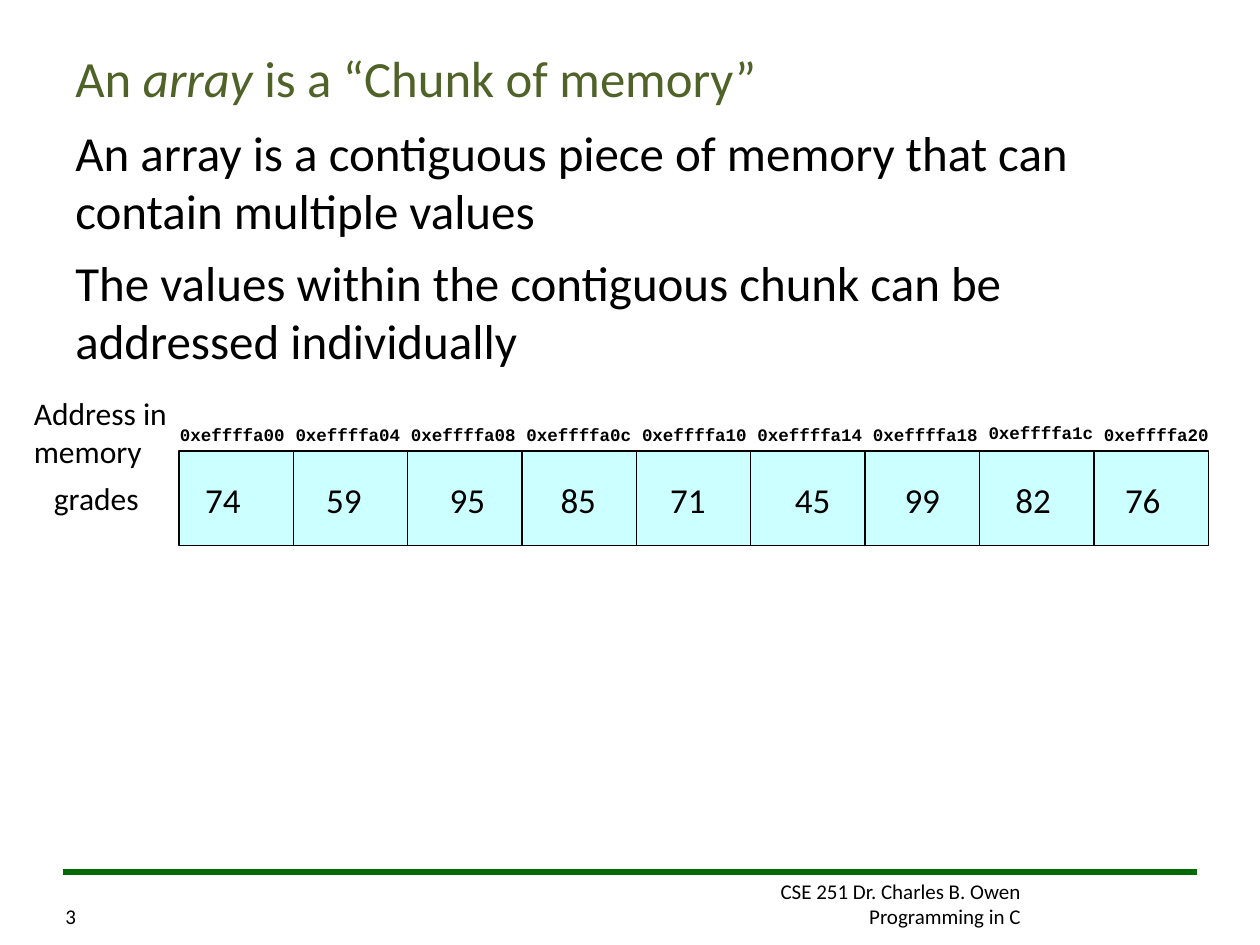
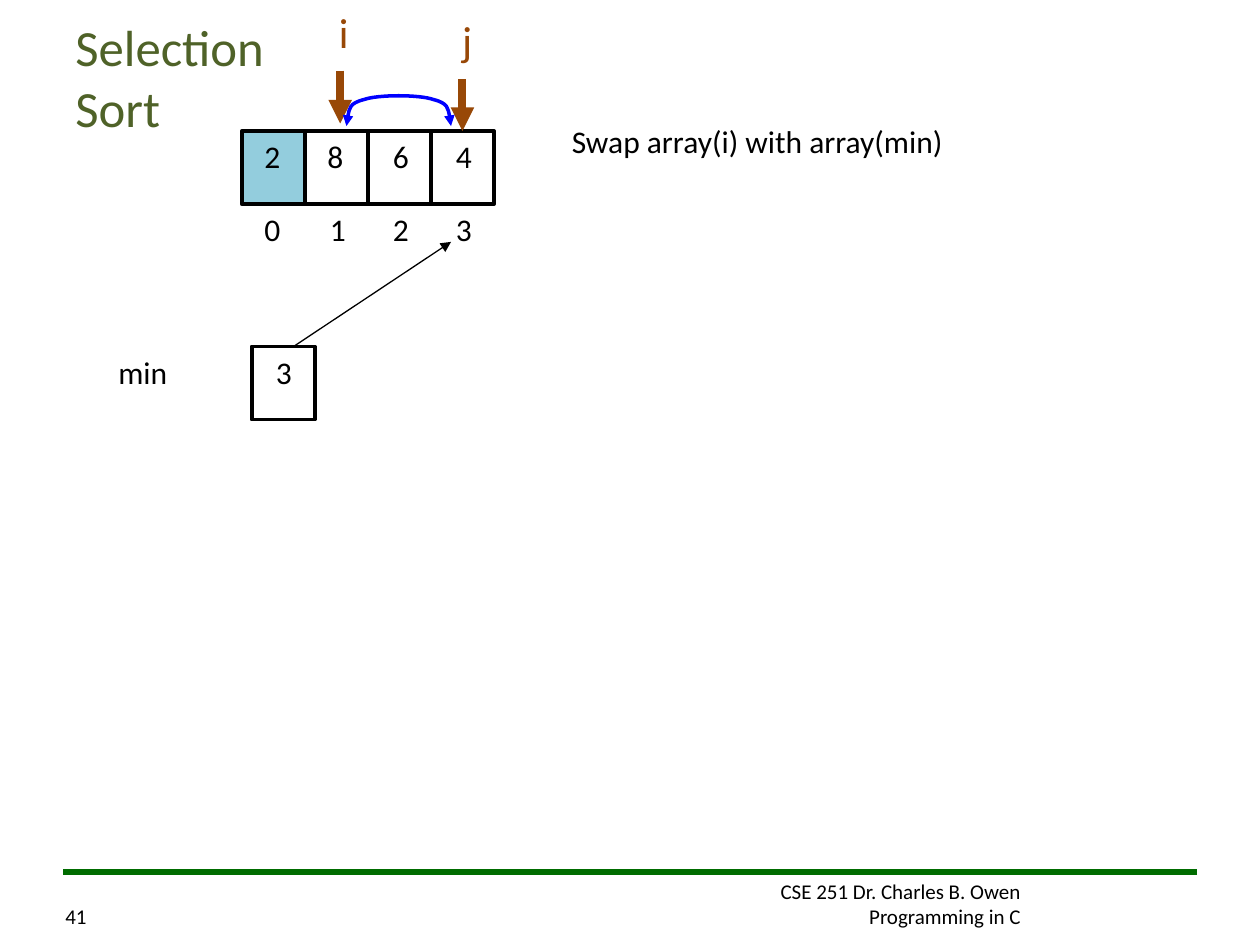
import pptx
import pptx.dml.color
import pptx.enum.shapes
import pptx.enum.text
import pptx.oxml
import pptx.oxml.ns
import pptx.util

ALIGN = pptx.enum.text.PP_ALIGN
ANCHOR = pptx.enum.text.MSO_ANCHOR

# Shared look: the slide is a grid of 10 columns by 7.5 rows
COLUMNS, ROWS = 10, 7.5
UNIT = pptx.util.Inches(1)
MARGIN = 0.5
BLACK, TITLE_GREEN, RULE_GREEN = "000000", "4F6228", "006C00"
MEMORY_CYAN, SORTED_BLUE = "CCFFFF", "93CDDD"
INDEX_BROWN, SWAP_BLUE = "984807", "0000FF"

# Memory diagram
GRADES = [74, 59, 95, 85, 71, 45, 99, 82, 76]
GRADE_LEFTS = [1.53, 2.4, 3.38, 4.26, 5.13, 6.12, 6.99, 7.87, 8.74]
MEMORY_LEFT, MEMORY_RIGHT, MEMORY_TOP = 1.42, 9.59, 3.58
FIRST_ADDRESS, ADDRESS_STEP = 0xEFFFFA00, 4

# Sorting diagram
SORT_VALUES = [2, 8, 6, 4]
SORT_LEFT, SORT_TOP = 1.92, 1.04
SLOT_WIDTH, SLOT_HEIGHT = 0.5, 0.58


def grid(*lengths):
    return [round(length * UNIT) for length in lengths]


def color(hex_code):
    return pptx.dml.color.RGBColor.from_string(hex_code)


def add_text(page, place, text, size=18, ink=BLACK, align=ALIGN.LEFT, wrap=True,
             anchor=ANCHOR.TOP, font="Calibri", bold=False, gap=0):
    """Put a list of paragraphs, or one string, in a text box."""
    box = page.shapes.add_textbox(*grid(*place))
    frame = box.text_frame
    frame.word_wrap = wrap
    frame.vertical_anchor = anchor
    for number, words in enumerate([text] if isinstance(text, str) else text):
        para = frame.add_paragraph() if number else frame.paragraphs[0]
        para.text = words
        para.alignment = align
        if number and gap:
            para.space_before = pptx.util.Pt(gap)
        para.font.name = font
        para.font.size = pptx.util.Pt(size)
        para.font.bold = bold
        para.font.color.rgb = color(ink)
    return box


def add_label(page, left, top, text, width=0.32, height=0.4, **style):
    return add_text(page, (left, top, width, height), text, wrap=False, **style)


def add_cell(page, place, fill=None, weight=0.75):
    cell = page.shapes.add_shape(pptx.enum.shapes.MSO_SHAPE.RECTANGLE, *grid(*place))
    cell.shadow.inherit = False
    if fill:
        cell.fill.solid()
        cell.fill.fore_color.rgb = color(fill)
    else:
        cell.fill.background()
    style_line(cell, BLACK, weight)
    return cell


def style_line(shape, ink, weight, arrows=()):
    shape.line.color.rgb = color(ink)
    shape.line.width = pptx.util.Pt(weight)
    for end in arrows:
        arrow = pptx.oxml.parse_xml(
            f'<a:{end} {pptx.oxml.ns.nsdecls("a")} type="triangle"/>')
        shape.line._get_or_add_ln().append(arrow)


def add_line(page, start, end, ink, weight, arrows=()):
    line = page.shapes.add_connector(
        pptx.enum.shapes.MSO_CONNECTOR.STRAIGHT, *grid(*start, *end))
    style_line(line, ink, weight, arrows)
    line._element.spPr.append(
        pptx.oxml.parse_xml(f'<a:effectLst {pptx.oxml.ns.nsdecls("a")}/>'))
    return line


def add_curve(page, points, ink, weight, arrows):
    """Draw Bezier arcs: a start point, then three points for each arc."""
    start, *rest = [grid(*point) for point in points]
    builder = page.shapes.build_freeform(*start)
    builder.add_line_segments(rest, close=False)
    curve = builder.convert_to_shape()
    curve.shadow.inherit = False
    curve.fill.background()
    style_line(curve, ink, weight, arrows)
    segments = curve._element.findall(".//" + pptx.oxml.ns.qn("a:lnTo"))
    for first in range(0, len(segments), 3):
        arc = pptx.oxml.parse_xml(f'<a:cubicBezTo {pptx.oxml.ns.nsdecls("a")}/>')
        segments[first].addprevious(arc)
        for segment in segments[first:first + 3]:
            arc.append(segment[0])
            segment.getparent().remove(segment)


def add_page(deck, number, title):
    """Start a page with the footer, rule, page number and title."""
    page = deck.slides.add_slide(deck.slide_layouts[6])
    add_text(page, (4.83, 6.92, 3.37, 0.5),
             ["CSE 251 Dr. Charles B. Owen", "Programming in C"],
             size=12, align=ALIGN.RIGHT)
    add_line(page, (COLUMNS - MARGIN, 6.92), (MARGIN, 6.92), RULE_GREEN, 3)
    add_label(page, 0.42, 7.12, str(number), 0.4, 0.31, size=12)
    heading = add_text(page, (MARGIN, 0.3, COLUMNS - 2 * MARGIN, 0.62), title,
                       size=29, ink=TITLE_GREEN, anchor=ANCHOR.MIDDLE)
    return page, heading.text_frame.paragraphs[0]


def build_memory_page(deck):
    page, heading = add_page(deck, 3, "An ")
    for words, italic in (("array", True), (" is a “Chunk of memory”", False)):
        span = heading.add_run()
        span.text = words
        span.font.italic = italic

    add_text(page, (MARGIN, 0.92, COLUMNS - 2 * MARGIN, 4.17),
             ["An array is a contiguous piece of memory that can contain multiple values",
              "The values within the contiguous chunk can be addressed individually"],
             size=28, gap=7)
    add_text(page, (0.33, 3.75, 1.17, 0.4), "grades")

    # Row of memory cells
    cell_width = (MEMORY_RIGHT - MEMORY_LEFT) / len(GRADES)
    for column in range(len(GRADES)):
        add_cell(page, (MEMORY_LEFT + column * cell_width, MEMORY_TOP, cell_width, 0.75),
                 MEMORY_CYAN)

    # Values in the cells and addresses above them
    for column, (grade, left) in enumerate(zip(GRADES, GRADE_LEFTS)):
        add_text(page, (left, 3.75, 0.66, 0.44), str(grade), size=20,
                 align=ALIGN.CENTER if column else ALIGN.LEFT)
    for column in range(len(GRADES)):
        top = 3.3 if column == 7 else 3.32
        add_text(page, (1.33 + column * 11 / 12, top, 1.08, 0.27),
                 f"0x{FIRST_ADDRESS + column * ADDRESS_STEP:x}",
                 size=10, font="Courier New", bold=True)
    add_text(page, (0.17, 3.08, 1.42, 0.7), "Address in memory")


def build_sort_page(deck):
    page, _ = add_page(deck, 41, "Selection \vSort")

    # Array slots with values and indexes
    slots = []
    for index, value in enumerate(SORT_VALUES):
        left = SORT_LEFT + index * SLOT_WIDTH
        slots.append(add_cell(page, (left, SORT_TOP, SLOT_WIDTH, SLOT_HEIGHT),
                              None if index else SORTED_BLUE, 2.25))
        add_label(page, left + (0.1 if index > 1 else 0.08), SORT_TOP, str(value))
        add_label(page, left + (0.1 if index else 0.08), SORT_TOP + SLOT_HEIGHT, str(index))

    # Smallest value's index, pointing at its slot
    add_label(page, 0.84, 2.75, "min", 0.59)
    add_cell(page, (2, 2.75, SLOT_WIDTH, SLOT_HEIGHT), weight=2.25)
    add_label(page, 2.09, 2.75, "3")
    add_line(page, (2.33, 2.75), (3.58, 1.92), BLACK, 0.75, ["tailEnd"])

    # Index markers above the array
    for name, label_left, label_top, x, top in (("j", 3.57, 0.07, 3.67, 0.63),
                                                ("i", 2.59, 0, 2.7, 0.56)):
        arrow = add_line(page, (x, top), (x, top + 0.42), INDEX_BROWN, 4.5, ["tailEnd"])
        if name == "j":
            arrow.end_connect(slots[3], 0)
        add_label(page, label_left, label_top, name, 0.28, 0.5, size=24, ink=INDEX_BROWN)

    # Swap arc
    add_curve(page, [(2.75, 1), (2.76, 0.91), (2.77, 0.82), (2.89, 0.79),
                     (3, 0.75), (3.33, 0.75), (3.44, 0.79),
                     (3.56, 0.82), (3.57, 0.91), (3.58, 1)],
              SWAP_BLUE, 2, ["headEnd", "tailEnd"])
    add_label(page, 4.44, 0.92, "Swap array(i) with array(min)", 3.17)


def main():
    deck = pptx.Presentation()
    deck.slide_width, deck.slide_height = grid(COLUMNS, ROWS)
    build_memory_page(deck)
    build_sort_page(deck)
    deck.save("out.pptx")


if __name__ == "__main__":
    main()
